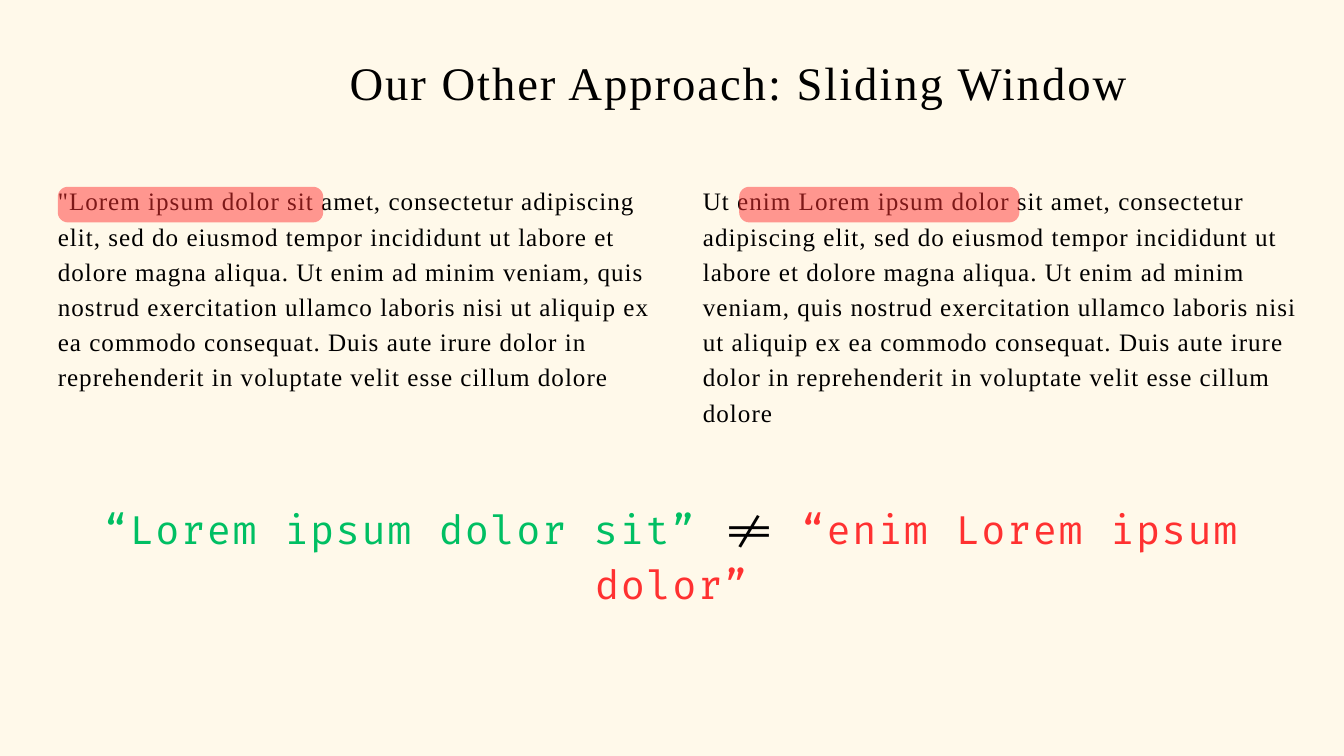
"""Build the sliding window slide: two passages, highlighted windows and their comparison."""
from pptx import Presentation
from pptx import util as u
from pptx.dml.color import RGBColor
from pptx.enum import shapes, text
from pptx.oxml.ns import qn
from lxml import etree

PX = 9144
CREAM = RGBColor(0xFF, 0xF9, 0xEA)
BLACK = RGBColor(0, 0, 0)
GREEN = RGBColor(0x00, 0xBF, 0x63)
RED = RGBColor(0xFF, 0x31, 0x31)

SERIF, CODE = "Times New Roman", "Fira Code"
LEFT, CENTER = text.PP_ALIGN.LEFT, text.PP_ALIGN.CENTER

LOREM = (
    "Lorem ipsum dolor sit amet, consectetur adipiscing elit, sed do eiusmod tempor "
    "incididunt ut labore et dolore magna aliqua. Ut enim ad minim veniam, quis nostrud "
    "exercitation ullamco laboris nisi ut aliquip ex ea commodo consequat. Duis aute irure "
    "dolor in reprehenderit in voluptate velit esse cillum dolore"
)

TITLE_STYLE = dict(font=SERIF, size=50, line=70, tracking=2.1, align=CENTER)
BODY_STYLE = dict(font=SERIF, size=26.9, line=37.7, tracking=1.1, align=LEFT)
CODE_STYLE = dict(font=CODE, size=42, line=58.8, tracking=1.8, align=CENTER)

TEXTS = [
    ((457, 67, 1284, 97), TITLE_STYLE, [("Our Other Approach: Sliding Window", BLACK)]),
    ((86, 269, 890, 312), BODY_STYLE, [('"' + LOREM, BLACK)]),
    ((1046, 269, 890, 364), BODY_STYLE, [("Ut enim " + LOREM, BLACK)]),
    ((45, 740, 1909, 78), CODE_STYLE, [
        ("“Lorem ipsum dolor sit” ", GREEN),
        ("!= ", BLACK),
        ("“enim Lorem ipsum dolor”", RED),
    ]),
]

WINDOWS = [(86, 278, 395, 53), (1100, 278, 417, 53)]
CORNER = 15
WINDOW_ALPHA = 49


def scaled(box):
    return [value * PX for value in box]


def add_text(slide, box, style, pieces):
    text_frame = slide.shapes.add_textbox(*scaled(box)).text_frame
    text_frame.word_wrap = True
    text_frame.margin_left = text_frame.margin_right = 0
    text_frame.margin_top = text_frame.margin_bottom = 0
    paragraph = text_frame.paragraphs[0]
    paragraph.alignment = style["align"]
    paragraph.line_spacing = u.Pt(style["line"])
    for words, color in pieces:
        run = paragraph.add_run()
        run.text = words
        run.font.name = style["font"]
        run.font.size = u.Pt(style["size"])
        run.font.color.rgb = color
        run.font._element.set("spc", str(round(style["tracking"] * 100)))


def add_window(slide, box):
    shape = slide.shapes.add_shape(shapes.MSO_SHAPE.ROUNDED_RECTANGLE, *scaled(box))
    shape.adjustments[0] = CORNER / box[3]
    shape.shadow.inherit = False
    shape.line.fill.background()
    shape.fill.solid()
    shape.fill.fore_color.rgb = RED
    color = shape.fill._xPr.find(qn("a:solidFill"))[0]
    etree.SubElement(color, qn("a:alpha")).set("val", str(WINDOW_ALPHA * 1000))


def main():
    presentation = Presentation()
    presentation.slide_width, presentation.slide_height = scaled((2000, 1125))
    slide = presentation.slides.add_slide(presentation.slide_layouts[6])
    slide.background.fill.solid()
    slide.background.fill.fore_color.rgb = CREAM
    *passages, comparison = TEXTS
    for item in passages:
        add_text(slide, *item)
    for box in WINDOWS:
        add_window(slide, box)
    add_text(slide, *comparison)
    presentation.save("out.pptx")


if __name__ == "__main__":
    main()
